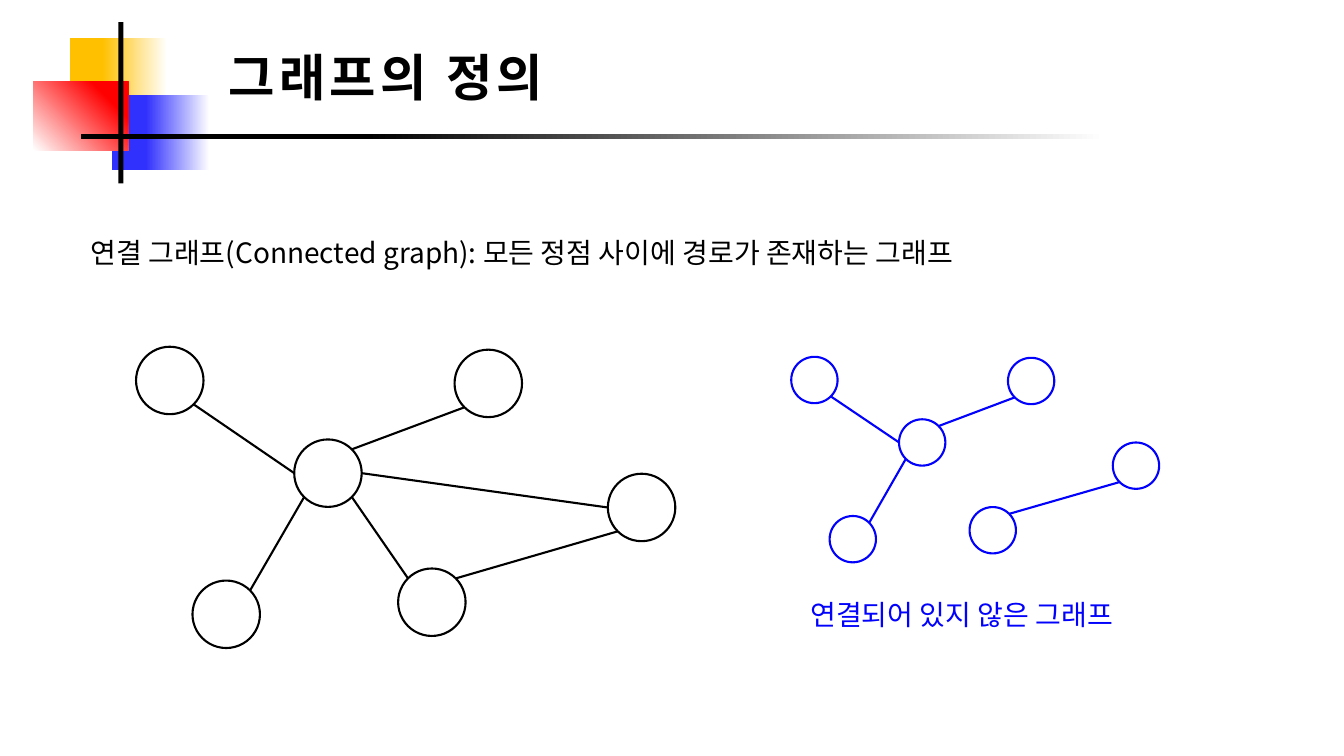
import math

import pptx
import pptx.dml.color
import pptx.enum.shapes
import pptx.enum.text
import pptx.oxml.ns
import pptx.util
from lxml import etree

Pt = pptx.util.Pt
SHAPE = pptx.enum.shapes.MSO_SHAPE
BLACK, WHITE, BLUE = "000000", "FFFFFF", "0202FC"
SITE_ANGLES = {"E": 0, "SE": 45, "SW": 135, "W": 180, "NW": 225, "NE": 315}


def color(hex_value):
    return pptx.dml.color.RGBColor.from_string(hex_value)


class GraphSlide:
    font = "Noto Sans CJK KR"
    stroke = 1.5

    def __init__(self, deck):
        self.slide = deck.slides.add_slide(deck.slide_layouts[6])
        self.shapes = self.slide.shapes

    def text(self, box, words, size, hex_value=BLACK, bold=False, tracking=0, leading=1.0):
        frame = self.shapes.add_textbox(*map(Pt, box)).text_frame
        frame.word_wrap = True
        frame.vertical_anchor = pptx.enum.text.MSO_ANCHOR.TOP
        paragraph = frame.paragraphs[0]
        paragraph.line_spacing = leading
        run = paragraph.add_run()
        run.text = words
        formats = {"name": self.font, "size": Pt(size), "bold": bold}
        for key, value in formats.items():
            setattr(run.font, key, value)
        run.font.color.rgb = color(hex_value)
        properties = run._r.get_or_add_rPr()
        properties.set("spc", str(tracking * 100))
        east_asian = etree.SubElement(properties, pptx.oxml.ns.qn("a:ea"))
        east_asian.set("typeface", self.font)

    def block(self, box, hex_value, solid_from=None, angle=180):
        block = self.shapes.add_shape(SHAPE.RECTANGLE, *map(Pt, box))
        block.shadow.inherit = False
        block.line.fill.background()
        if solid_from is None:
            block.fill.solid()
            block.fill.fore_color.rgb = color(hex_value)
            return
        block.fill.gradient()
        block.fill.gradient_angle = angle
        stops = zip(block.fill.gradient_stops, (0, solid_from), (WHITE, hex_value))
        for stop, position, stop_color in stops:
            stop.position = position
            stop.color.rgb = color(stop_color)

    def vertex(self, corner, diameter, hex_value):
        vertex = self.shapes.add_shape(SHAPE.OVAL, *map(Pt, (*corner, diameter, diameter)))
        vertex.shadow.inherit = False
        vertex.fill.solid()
        vertex.fill.fore_color.rgb = color(WHITE)
        vertex.line.color.rgb = color(hex_value)
        vertex.line.width = Pt(self.stroke)

    def edge(self, start, end, hex_value):
        edge = self.shapes.add_connector(
            pptx.enum.shapes.MSO_CONNECTOR.STRAIGHT, *map(Pt, (*start, *end))
        )
        edge.line.color.rgb = color(hex_value)
        edge.line.width = Pt(self.stroke)
        etree.SubElement(edge._element.spPr, pptx.oxml.ns.qn("a:effectLst"))

    def graph(self, corners, diameter, links, hex_value):
        radius = diameter / 2

        def site(vertex, side):
            angle = math.radians(SITE_ANGLES[side])
            left, top = corners[vertex]
            return (
                left + radius * (1 + math.cos(angle)),
                top + radius * (1 + math.sin(angle)),
            )

        for corner in corners.values():
            self.vertex(corner, diameter, hex_value)
        for source, source_side, target, target_side in links:
            self.edge(site(source, source_side), site(target, target_side), hex_value)


def main():
    deck = pptx.Presentation()
    deck.slide_width, deck.slide_height = Pt(960), Pt(540)
    page = GraphSlide(deck)

    page.text((156.2, 34.6, 527, 94.3), "그래프의 정의", 36, bold=True, tracking=3, leading=0.9)
    page.block((49.9, 27.4, 69.8, 68.4), "FFC000", 0.67)
    page.block((79.9, 67.7, 69.8, 54), "3131FD", 0.65)
    page.block((23.8, 58.3, 67.7, 49), "FF0000", 0.78, angle=45)
    page.block((84.5, 15.8, 3.6, 115.2), BLACK)
    page.block((57.6, 95.8, 731.5, 3.6), BLACK, 0.72)

    page.text(
        (57.6, 164.9, 649, 31.7),
        "연결 그래프(Connected graph): 모든 정점 사이에 경로가 존재하는 그래프",
        20,
    )

    shared_links = [
        ("upper left", "SE", "hub", "W"),
        ("lower left", "NE", "hub", "SW"),
        ("upper right", "SW", "hub", "NE"),
        ("far right", "SW", "lower right", "NE"),
    ]
    bridges = [("lower right", "NW", "hub", "SE"), ("far right", "W", "hub", "E")]
    connected = {
        "upper left": (97.2, 247.7),
        "hub": (210.2, 313.9),
        "lower left": (137.5, 414.7),
        "lower right": (284.4, 406.1),
        "upper right": (324.7, 249.8),
        "far right": (434.2, 338.4),
    }
    disconnected = {
        "upper left": (565.2, 254.9),
        "hub": (642.2, 299.5),
        "lower left": (592.6, 368.6),
        "lower right": (692.6, 362.2),
        "upper right": (720, 255.6),
        "far right": (794.9, 316.1),
    }
    page.graph(connected, 48.2, shared_links + bridges, BLACK)
    page.graph(disconnected, 33.1, shared_links, BLUE)
    page.text((571.7, 423.4, 252, 31.7), "연결되어 있지 않은 그래프", 20, BLUE)

    deck.save("out.pptx")


if __name__ == "__main__":
    main()
